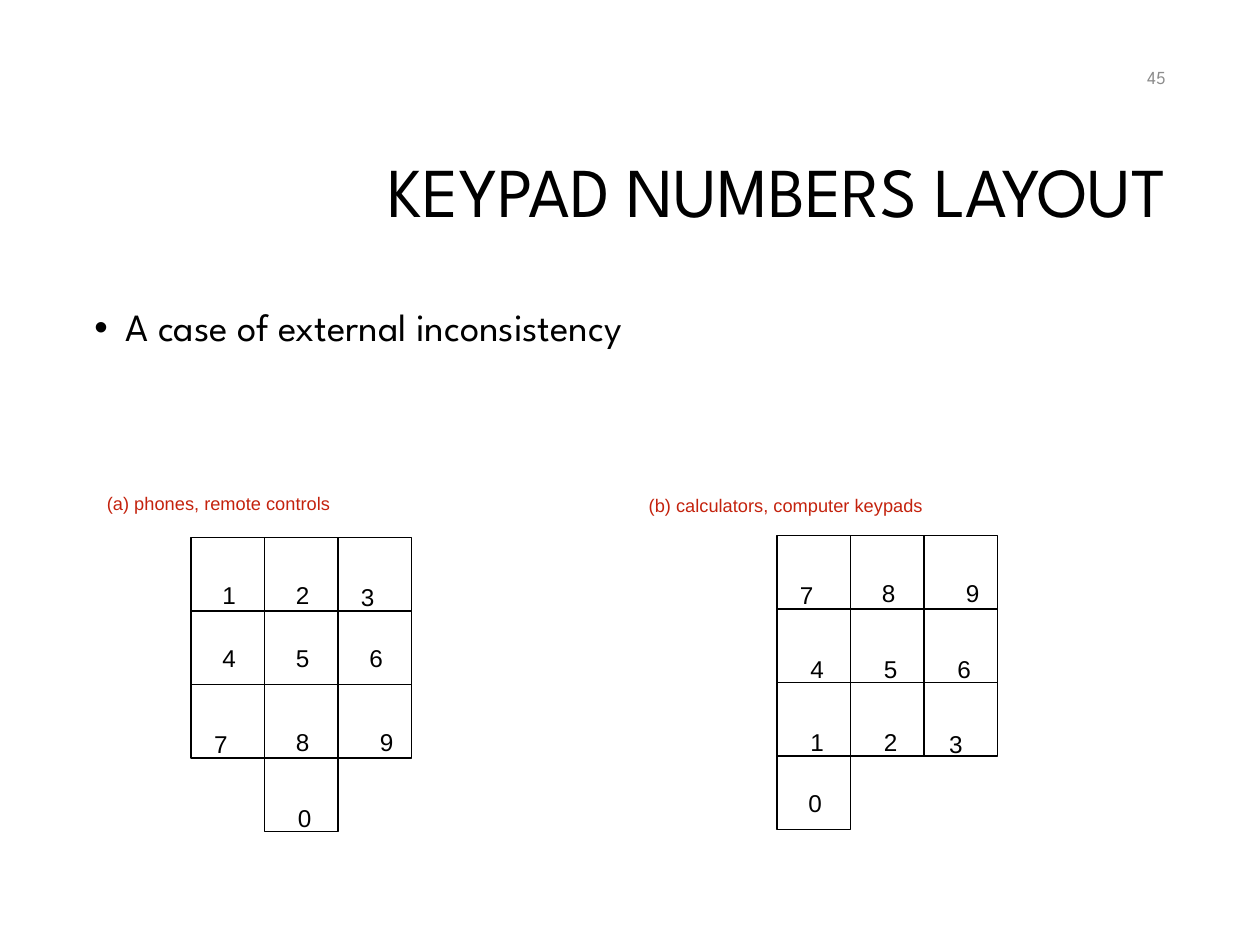
"""Build the slide comparing two keypad number layouts."""
from dataclasses import dataclass

from lxml import etree
from pptx import Presentation
from pptx import util as u
from pptx.dml.color import RGBColor
from pptx.enum import shapes, text
from pptx.oxml.ns import qn

PX = 7620
KEY = 70
DIGIT_SIZE = (47, 60)

TITLE = ("KEYPAD NUMBERS LAYOUT", (286, 101, 836, 169))
BULLET = ("A case of external inconsistency", (78, 288, 1044, 534))
PAGE = ("45", (863, 50, 259, 48))

KEYPADS = [
    {
        "caption": ("(a) phones, remote controls", (90, 443, 395, 48)),
        "origin": (182, 512),
        "rows": ["123", "456", "789", " 0 "],
        "nudges": [
            [(18, 8), (18, 8), (10, 10)],
            [(18, -2), (18, -2), (18, -2)],
            [(10, 10), (18, 8), (28, 8)],
            [None, (20, 10), None],
        ],
    },
    {
        "caption": ("(b) calculators, computer keypads", (606, 445, 479, 48)),
        "origin": (740, 510),
        "rows": ["789", "456", "123", "0  "],
        "nudges": [
            [(10, 10), (18, 8), (28, 8)],
            [(20, 10), (20, 10), (20, 10)],
            [(20, 10), (20, 10), (12, 12)],
            [(18, -2), None, None],
        ],
    },
]


@dataclass(frozen=True)
class Theme:
    display: str = "League Spartan"
    plain: str = "Arial"
    ink: str = "000000"
    muted: str = "8C8C8C"
    accent: str = "C4220D"
    title: float = 40
    body: float = 22
    digit: float = 24
    caption: float = 18
    page: float = 10.5
    line: float = 0.75
    subscript: int = -25000


THEME = Theme()


def emu(box):
    return [u.Emu(length * PX) for length in box]


def add_text(slide, words, box, font, size, color, wrap=True,
             align=text.PP_ALIGN.LEFT, anchor=text.MSO_ANCHOR.TOP,
             spacing=None, bullet=False, lowered=False):
    frame = slide.shapes.add_textbox(*emu(box)).text_frame
    frame.word_wrap = wrap
    frame.vertical_anchor = anchor
    paragraph = frame.paragraphs[0]
    paragraph.alignment = align
    paragraph.line_spacing = spacing
    if bullet:
        props = paragraph._p.get_or_add_pPr()
        props.set("marL", str(u.Inches(0.25)))
        props.set("indent", str(u.Inches(-0.25)))
        etree.SubElement(props, qn("a:buFont")).set("typeface", THEME.plain)
        etree.SubElement(props, qn("a:buChar")).set("char", "•")
    run = paragraph.add_run()
    run.text = words
    run.font.name = font
    run.font.size = u.Pt(size)
    run.font.color.rgb = RGBColor.from_string(color)
    if lowered:
        run._r.get_or_add_rPr().set("baseline", str(THEME.subscript))


def add_key(slide, left, top):
    key = slide.shapes.add_shape(shapes.MSO_SHAPE.RECTANGLE, *emu((left, top, KEY, KEY)))
    key.shadow.inherit = False
    key.fill.background()
    key.line.color.rgb = RGBColor.from_string(THEME.ink)
    key.line.width = u.Pt(THEME.line)


def add_keypad(slide, keypad):
    left, top = keypad["origin"]
    keys = [
        (digit, left + col * KEY, top + row * KEY, keypad["nudges"][row][col])
        for row, digits in enumerate(keypad["rows"])
        for col, digit in enumerate(digits)
        if digit != " "
    ]
    for _, x, y, _ in keys:
        add_key(slide, x, y)
    for digit, x, y, (dx, dy) in keys:
        add_text(slide, digit, (x + dx, y + dy, *DIGIT_SIZE), THEME.plain,
                 THEME.digit, THEME.ink, wrap=False, lowered=True)
    add_text(slide, *keypad["caption"], THEME.plain, THEME.caption,
             THEME.accent, wrap=False, lowered=True)


def main():
    deck = Presentation()
    deck.slide_width, deck.slide_height = emu((1200, 900))
    slide = deck.slides.add_slide(deck.slide_layouts[6])
    right_middle = {"align": text.PP_ALIGN.RIGHT, "anchor": text.MSO_ANCHOR.MIDDLE}
    add_text(slide, *TITLE, THEME.display, THEME.title, THEME.ink,
             spacing=0.9, **right_middle)
    add_text(slide, *BULLET, THEME.display, THEME.body, THEME.ink,
             spacing=0.9, bullet=True)
    add_text(slide, *PAGE, THEME.display, THEME.page, THEME.muted, **right_middle)
    for keypad in KEYPADS:
        add_keypad(slide, keypad)
    deck.save("out.pptx")


if __name__ == "__main__":
    main()
